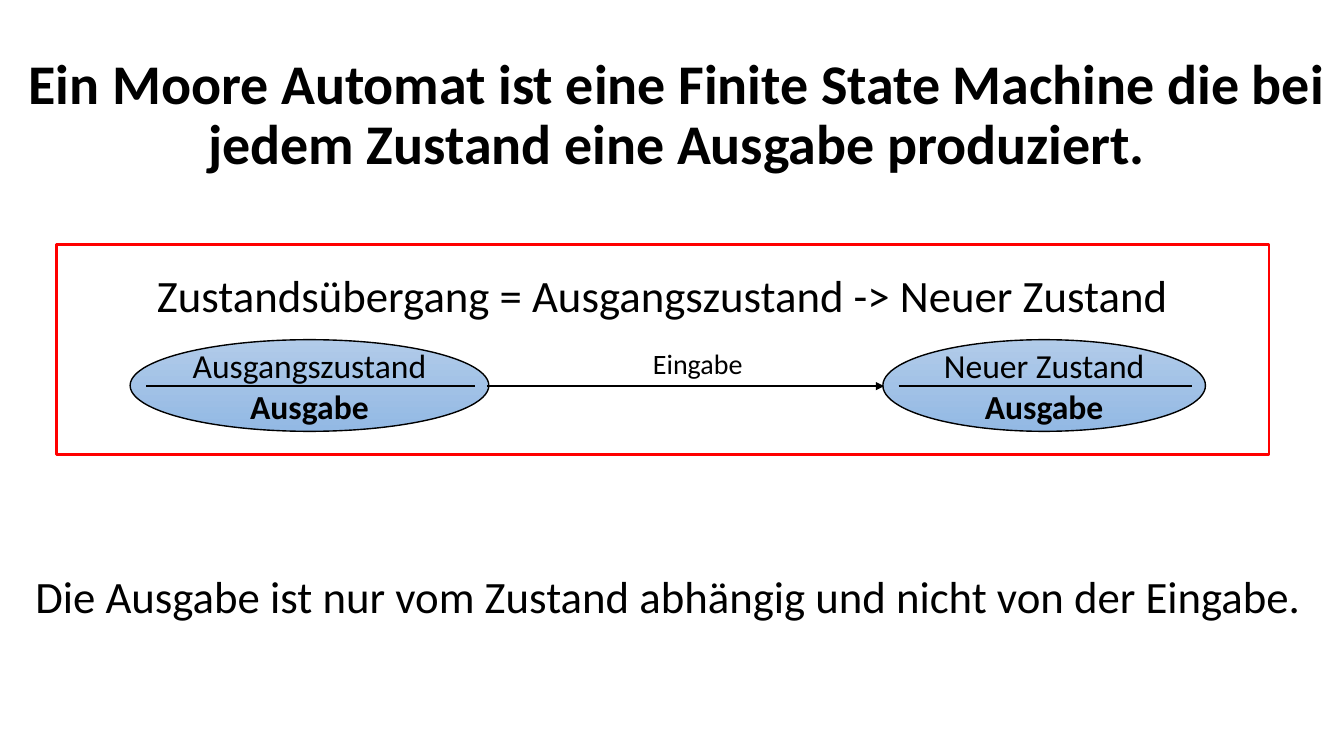
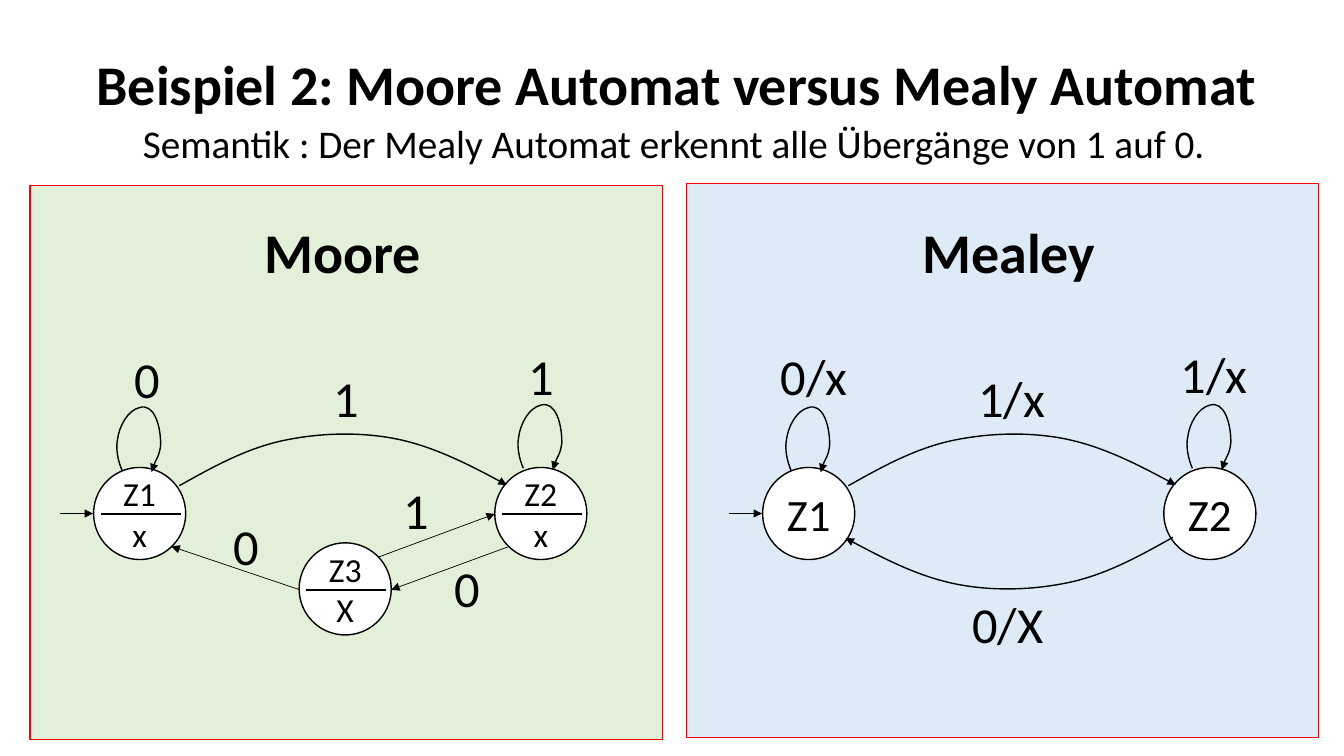
"""Build two slides about Moore and Mealy automata."""
from dataclasses import dataclass

from lxml.etree import SubElement as Sub
from pptx import Presentation
from pptx.dml.color import RGBColor as Rgb
from pptx.enum.shapes import MSO_CONNECTOR as Link, MSO_SHAPE as Form
from pptx.enum.text import MSO_ANCHOR as Anchor, MSO_AUTO_SIZE as Fit, PP_ALIGN as Align
from pptx.oxml.ns import qn
from pptx.util import Cm, Pt


@dataclass(frozen=True)
class Theme:
    """Colours, font and type sizes."""
    font: str = "Calibri"
    ink: str = "000000"
    white: str = "FFFFFF"
    red: str = "FF0000"
    green: str = "E2F0D9"
    blue: str = "DEEBF7"
    shade: tuple = ("B1CBE9", "93B9E4")
    head: int = 40
    label: int = 36
    body: int = 32
    sub: int = 28
    state: int = 24
    small: int = 20


LOOK = Theme()
BALL = 2.32
PITCH = 10.11
LOOP = [(-.44, -1.08), (-.56, -1.35), (-.6, -1.65), (-.56, -1.85),
        (-.52, -2.2), (-.3, -2.6), (0, -2.67),
        (.35, -2.78), (.53, -2.25), (.53, -1.73),
        (.5, -1.45), (.36, -1.3), (.3, -1.04)]
ARC = [(1, -.7), (1.82, -1.16), (2.63, -1.61), (3.54, -1.82),
       (4.43, -2.02), (5.45, -2.07), (6.41, -1.89),
       (7.35, -1.71), (8.31, -1.23), (9.25, -.72)]
BACK = [(10.18 - x, -.1 - y) for x, y in ARC]


def write(shape, text, size=LOOK.body, bold=False, last=False, align=Align.CENTER,
          anchor=Anchor.MIDDLE, space=None, wrap=True):
    """Fill a shape with one paragraph per line; last makes later lines bold."""
    frame = shape.text_frame
    frame.text = text
    frame.word_wrap = wrap
    frame.auto_size = Fit.NONE
    frame.vertical_anchor = anchor
    for spot, para in enumerate(frame.paragraphs):
        para.alignment = align
        para.line_spacing = space
        font = para.runs[0].font
        font.name = LOOK.font
        font.size = Pt(size)
        font.bold = bold or (last and spot > 0)
        font.color.rgb = Rgb.from_string(LOOK.ink)
    return frame


def stroke(item, color=LOOK.ink, width=1, tip=False):
    """Set the line of a shape or connector, with an optional arrowhead."""
    item.line.color.rgb = Rgb.from_string(color)
    item.line.width = Pt(width)
    if tip:
        Sub(item._element.spPr.find(qn("a:ln")), qn("a:tailEnd"), type="triangle")


def place(item, box):
    """Move an item to a box given in centimetres."""
    item.left, item.top, item.width, item.height = map(Cm, box)


def head(deck, text, top):
    """Add a slide with the shared title style."""
    slide = deck.slides.add_slide(deck.slide_layouts[5])
    title = slide.shapes.title
    place(title, (.25, top, 33.6, 3.68))
    write(title, text, size=LOOK.head, bold=True, space=.9)
    return slide


def note(slide, box, text, **style):
    """Add a text box."""
    item = slide.shapes.add_textbox(*map(Cm, box))
    write(item, text, **{"anchor": Anchor.TOP, **style})


def shape(slide, form, box, fill, **pen):
    """Add an outlined shape with a plain or two-colour fill."""
    item = slide.shapes.add_shape(form, *map(Cm, box))
    item.shadow.inherit = False
    if isinstance(fill, tuple):
        item.fill.gradient()
        item.fill.gradient_angle = 270
        for stop, color in zip(item.fill.gradient_stops, fill):
            stop.color.rgb = Rgb.from_string(color)
    else:
        item.fill.solid()
        item.fill.fore_color.rgb = Rgb.from_string(fill)
    stroke(item, **pen)
    return item


def oval(slide, box, text, fill=LOOK.white, **style):
    """Add a state with its text."""
    frame = write(shape(slide, Form.OVAL, box, fill), text, wrap=False, **style)
    frame.margin_left = frame.margin_right = 0
    frame.margin_top = frame.margin_bottom = 0


def line(slide, start, end, **pen):
    """Add a straight line."""
    item = slide.shapes.add_connector(Link.STRAIGHT, *map(Cm, (*start, *end)))
    stroke(item, **pen)
    Sub(item._element.spPr, qn("a:effectLst"))


def curve(slide, points, x, y):
    """Draw a curved arrow through Bezier points offset by x and y."""
    spots = [(Cm(x + dx), Cm(y + dy)) for dx, dy in points]
    pen = slide.shapes.build_freeform(*spots[0])
    pen.add_line_segments(spots[1:], close=False)
    item = pen.convert_to_shape()
    item.shadow.inherit = False
    item.fill.background()
    stroke(item, tip=True)
    track = next(item._element.iter(qn("a:path")))
    legs = track.findall(qn("a:lnTo"))
    for spot in range(0, len(legs), 3):
        bend = Sub(track, qn("a:cubicBezTo"))
        for leg in legs[spot:spot + 3]:
            bend.append(leg[0])
            track.remove(leg)


def node(slide, x, y, text, size):
    """Add a round state; two lines of text get a bar between them."""
    oval(slide, (x - BALL / 2, y - BALL / 2, BALL, BALL), text, size=size)
    if "\n" in text:
        line(slide, (x - .98, y + .02), (x + 1.04, y + .02), width=1.5)


def graph(slide, x, y, names, size, marks):
    """Draw what both automata share: two states, loops, arc and labels."""
    for spot, name in enumerate(names):
        left = x + spot * PITCH
        node(slide, left, y, name, size)
        curve(slide, LOOP, left, y - .06 * spot)
    curve(slide, ARC, x, y)
    line(slide, (x - 2.02, y), (x - 1.18, y), tip=True)
    for text, dx, dy in marks:
        note(slide, (x + dx, y + dy, 2.54, 1.8), text,
             size=LOOK.label, align=Align.LEFT)


def moore(deck):
    """Build the definition slide."""
    slide = head(deck, "Ein Moore Automat ist eine Finite State Machine die bei "
                 "jedem Zustand eine Ausgabe produziert.", 1.09)
    note(slide, (.64, 14.2, 32.87, 1.63), "Die Ausgabe ist nur vom Zustand "
         "abhängig und nicht von der Eingabe.", align=Align.LEFT)
    frame = shape(slide, Form.RECTANGLE, (1.42, 6.17, 30.56, 5.28), LOOK.white,
                  color=LOOK.red, width=2)
    write(frame, "Zustandsübergang = Ausgangszustand -> Neuer Zustand",
          anchor=Anchor.TOP).margin_top = Cm(.58)
    for left, width, name in ((3.28, 9.04, "Ausgangszustand"),
                              (22.25, 8.13, "Neuer Zustand")):
        oval(slide, (left, 8.56, width, 2.31), name + "\nAusgabe",
             fill=LOOK.shade, size=LOOK.state, last=True)
        line(slide, (left + .4, 9.72), (left + width - .35, 9.72), width=1.75)
    line(slide, (12.27, 9.73), (22.28, 9.73), tip=True)
    note(slide, (14.27, 8.61, 6.63, 1.12), "Eingabe", size=LOOK.small)


def versus(deck):
    """Build the comparison slide."""
    slide = head(deck, "Beispiel 2: Moore Automat versus Mealy Automat", .36)
    note(slide, (3.35, 2.87, 28.7, 1.45), "Semantik : Der Mealy Automat erkennt "
         "alle Übergänge von 1 auf 0.", size=LOOK.sub, align=Align.LEFT)
    for left, top, fill, mid, name in ((.76, 4.67, LOOK.green, 5.79, "Moore"),
                                       (17.3, 4.62, LOOK.blue, 22.58, "Mealey")):
        shape(slide, Form.RECTANGLE, (left, top, 15.93, 13.97), fill, color=LOOK.red)
        note(slide, (mid, 4.88, 5.69, 3.1), name, size=LOOK.head, bold=True,
             space=.9, anchor=Anchor.MIDDLE)
    x, y = 3.52, 12.94
    graph(slide, x, y, ("Z1\nx", "Z2\nx"), LOOK.state,
          (("0", -.39, -4.28), ("1", 9.54, -4.38), ("1", 4.64, -3.82),
           ("0", 7.68, .98), ("1", 6.41, -1), ("0", 2.12, -.09)))
    node(slide, x + 5.18, y + 1.9, "Z3\nX", LOOK.state)
    for ax, ay, bx, by in ((9.31, .83, 6.34, 1.92), (6.01, 1.1, 8.95, .01),
                           (4.03, 1.92, .8, .83)):
        line(slide, (x + ax, y + ay), (x + bx, y + by), width=.5, tip=True)
    x = 20.38
    graph(slide, x, y, ("Z1", "Z2"), LOOK.body,
          (("0/x", -.95, -4.38), ("1/x", 9.13, -4.43),
           ("1/x", 4.03, -3.82), ("0/X", 3.87, 1.87)))
    curve(slide, BACK, x, y)


def main():
    """Build and save the deck."""
    deck = Presentation()
    deck.slide_width, deck.slide_height = Cm(33.87), Cm(19.05)
    moore(deck)
    versus(deck)
    deck.save("out.pptx")


main()
